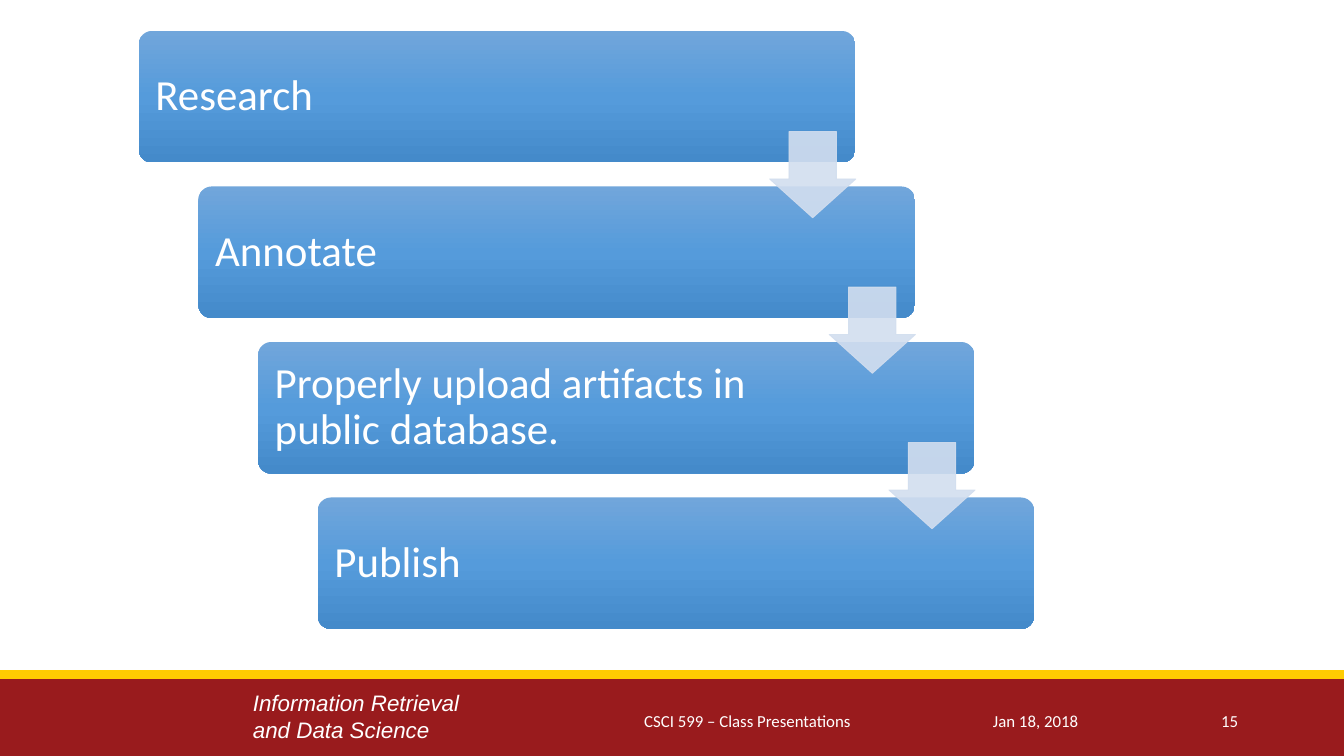
import copy

import pptx
import pptx.dml.color
import pptx.enum.shapes
import pptx.enum.text
import pptx.oxml.ns
import pptx.util
from lxml import etree

RGB = pptx.dml.color.RGBColor
SHAPE = pptx.enum.shapes.MSO_SHAPE
ALIGN = pptx.enum.text.PP_ALIGN
ANCHOR = pptx.enum.text.MSO_ANCHOR
qn = pptx.oxml.ns.qn

WHITE = RGB(0xFF, 0xFF, 0xFF)
CARDINAL = RGB(0x99, 0x1B, 0x1D)
GOLD = RGB(0xFF, 0xCC, 0x01)
PALE_BLUE = RGB(0xD2, 0xDE, 0xEF)
BOX_BLUES = (RGB(0x71, 0xA6, 0xDB), RGB(0x55, 0x9B, 0xDB), RGB(0x44, 0x8A, 0xCA))

STEPS = ("Research", "Annotate", "Properly upload artifacts in public database.", "Publish")
STEP_DX, STEP_DY = 4.44, 20.57


class Deck:
    """Places styled elements; all lengths are percentages of the slide's size."""

    def __init__(self, prs):
        self.w, self.h = prs.slide_width, prs.slide_height
        self.s = prs.slides.add_slide(prs.slide_layouts[6])

    def place(self, x, y, w, h):
        return [round(v * size / 100) for v, size in zip((x, y, w, h), (self.w, self.h) * 2)]

    def shape(self, kind, box, adjustments=()):
        sp = self.s.shapes.add_shape(kind, *self.place(*box))
        sp.shadow.inherit = False
        sp.line.fill.background()
        for i, value in enumerate(adjustments):
            sp.adjustments[i] = value
        return sp

    def band(self, box):
        sp = self.shape(SHAPE.RECTANGLE, box)
        sp.fill.solid()
        sp.fill.fore_color.rgb = CARDINAL

    def rule(self, y):
        x, top, w, _ = self.place(0, y, 100, 0)
        line = self.s.shapes.add_connector(
            pptx.enum.shapes.MSO_CONNECTOR.STRAIGHT, x, top, x + w, top)
        line.line.color.rgb = GOLD
        line.line.width = pptx.util.Pt(4.5)
        etree.SubElement(line._element.spPr, qn("a:effectLst"))

    def step_box(self, box):
        sp = self.shape(SHAPE.ROUNDED_RECTANGLE, box, [0.1])
        sp.fill.gradient()
        sp.fill.gradient_angle = 270
        first = sp.fill._fill._gradFill.gsLst[0]
        first.addnext(copy.deepcopy(first))
        for i, (stop, color) in enumerate(zip(sp.fill.gradient_stops, BOX_BLUES)):
            stop.position = i / 2
            stop.color.rgb = color

    def arrow(self, box):
        sp = self.shape(SHAPE.DOWN_ARROW, box, [0.55, 0.45])
        sp.line.width = pptx.util.Pt(0.5)
        for fill in (sp.fill, sp.line.fill):
            fill.solid()
            fill.fore_color.rgb = PALE_BLUE
        for color in sp._element.spPr.iter(qn("a:srgbClr")):
            etree.SubElement(color, qn("a:alpha"), val="90000")

    def text(self, box, lines, size, font="Calibri", align=ALIGN.LEFT,
             anchor=ANCHOR.MIDDLE, italic=None, wrap=True, spacing=None, inset=None):
        tf = self.s.shapes.add_textbox(*self.place(*box)).text_frame
        tf.word_wrap = wrap
        tf.vertical_anchor = anchor
        if inset is not None:
            tf.margin_left = tf.margin_right = pptx.util.Inches(inset)
            tf.margin_top = tf.margin_bottom = pptx.util.Inches(inset)
        tf.text = "\n".join(lines)
        for p in tf.paragraphs:
            p.alignment = align
            p.line_spacing = spacing
            p.font.name = font
            p.font.size = pptx.util.Pt(size)
            p.font.italic = italic
            p.font.color.rgb = WHITE


def main():
    prs = pptx.Presentation()
    prs.slide_width = pptx.util.Inches(10)
    prs.slide_height = prs.slide_width * 9 // 16
    deck = Deck(prs)

    # Footer band
    deck.band((0, 89.2, 100, 10.8))
    deck.text((17.83, 90.35, 17.9, 8.9), ("Information Retrieval", "and Data Science"), 12,
              font="Arial", anchor=ANCHOR.TOP, italic=True, wrap=False)
    deck.rule(89.2)
    for x, w, words, align in ((72.9, 14.3, "Jan 18, 2018", ALIGN.LEFT),
                               (41.4, 28.4, "CSCI 599 – Class Presentations", ALIGN.CENTER),
                               (88, 5.1, "15", ALIGN.RIGHT)):
        deck.text((x, 92.7, w, 5.3), [words], 9, align=align)

    # Staircase of steps
    for i, step in enumerate(STEPS):
        x, y = 10.33 + i * STEP_DX, 4.1 + i * STEP_DY
        deck.step_box((x, y, 53.3, 17.4))
        deck.text((x + 0.25, y + 0.5, 42, 16.4), [step], 23, spacing=0.9, inset=0.1)

    # Arrows between consecutive steps
    for i in range(len(STEPS) - 1):
        deck.arrow((57.27 + i * STEP_DX, 17.4 + i * STEP_DY, 6.4, 11.4))

    prs.save("out.pptx")


if __name__ == "__main__":
    main()
